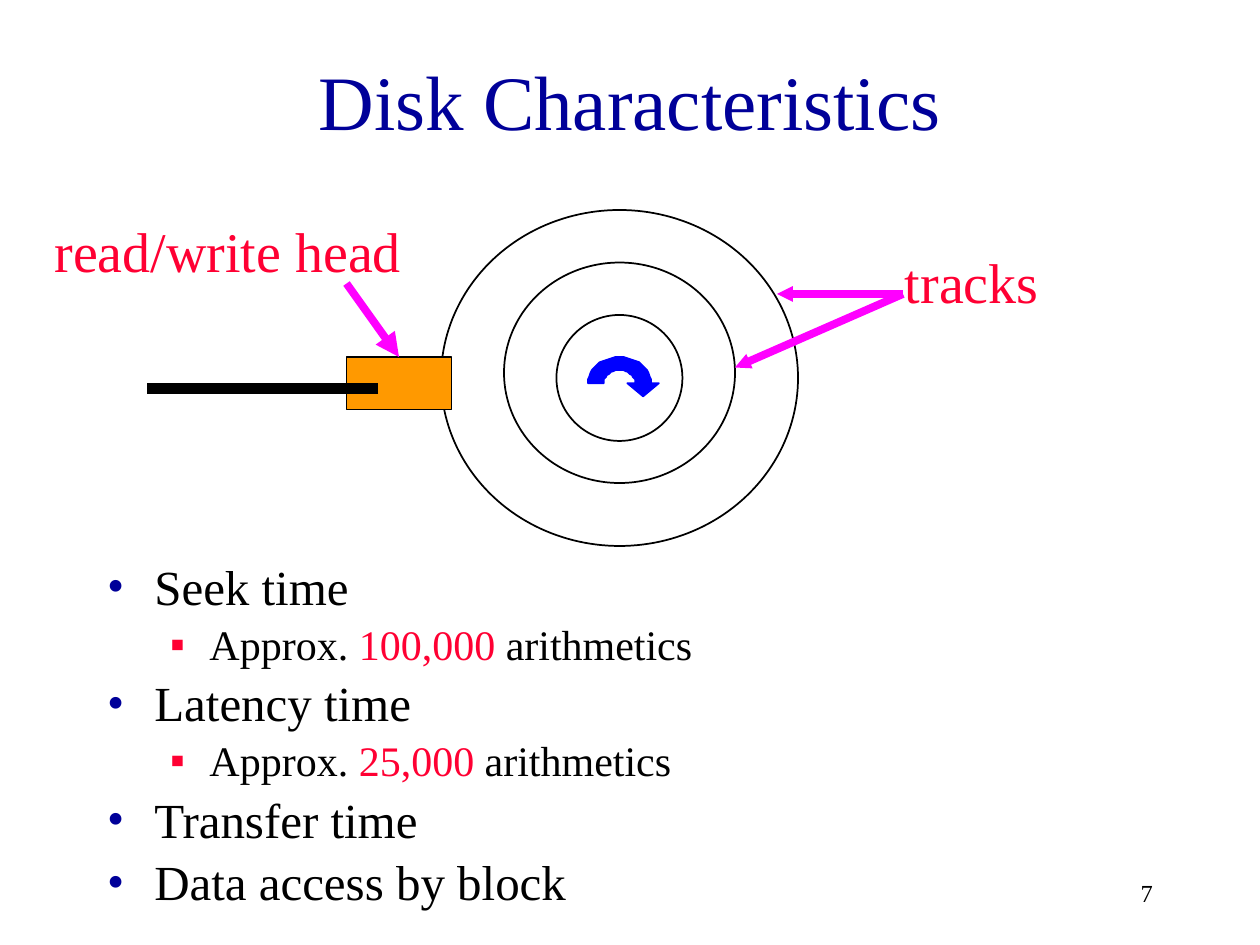
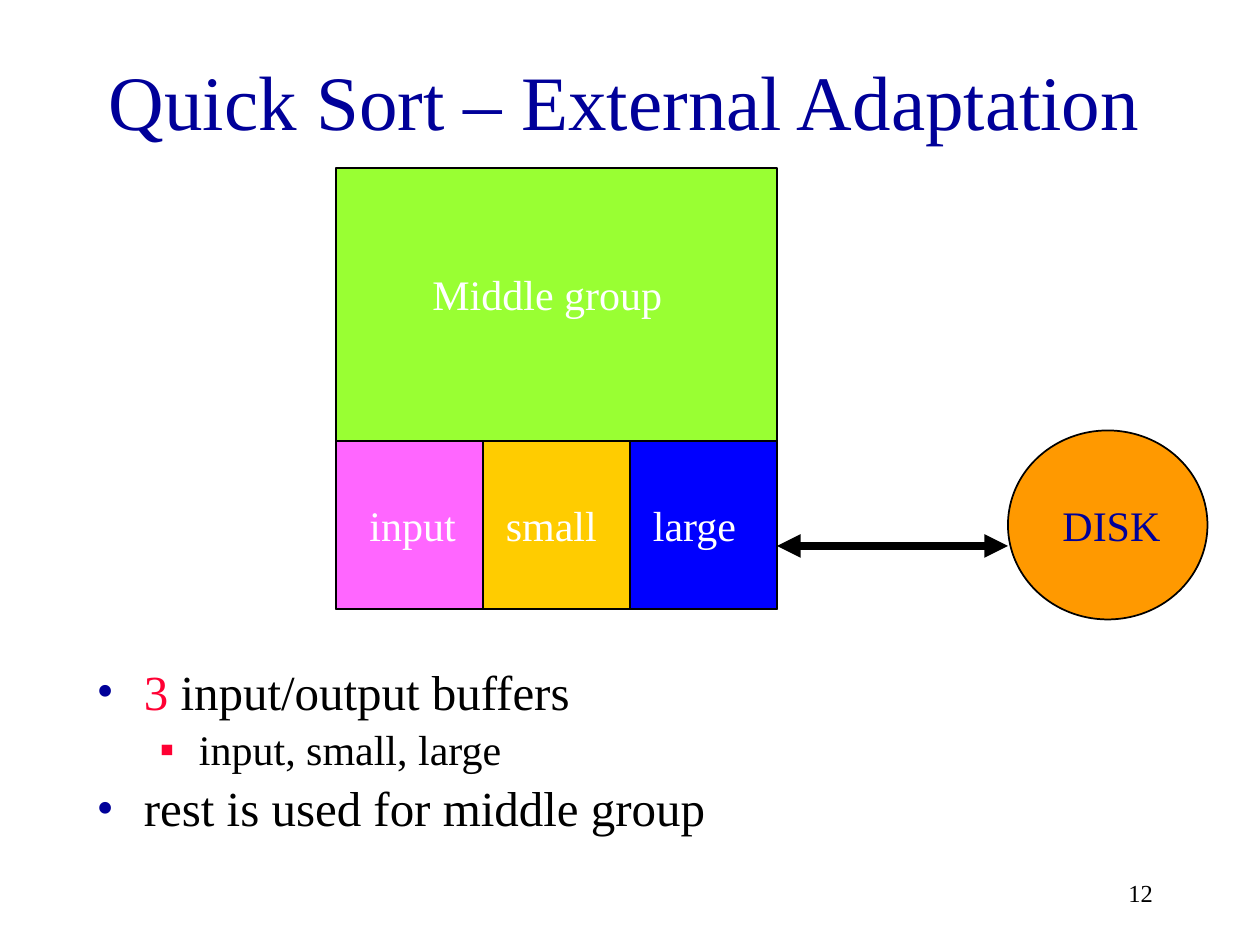
from math import cos, pi, sin

from lxml.etree import SubElement
from pptx import Presentation
from pptx.dml.color import RGBColor
from pptx.enum.shapes import MSO_CONNECTOR, MSO_SHAPE
from pptx.enum.text import MSO_ANCHOR, MSO_AUTO_SIZE, PP_ALIGN
from pptx.oxml.ns import qn
from pptx.util import Emu, Pt

PIXEL = 9525
FONT = "Times New Roman"
NAVY = "000099"
RED = "FF0033"
BLACK = "000000"
WHITE = "FFFFFF"
ORANGE = "FF9900"
MAGENTA = "FF00FF"
BLUE = "0000FF"
LEVELS = [
    {"size": 28, "margin": 36, "hang": 36, "mark": "•", "color": NAVY, "before": 5.6},
    {"size": 24, "margin": 78, "hang": 30, "mark": "▪", "color": RED, "before": 4.8},
]


def px(length):
    return Emu(length * PIXEL)


def rgb(color):
    return RGBColor.from_string(color)


def add_text(para, text, size=24, color=BLACK, align=None):
    span = para.add_run()
    span.text = text
    span.font.name = FONT
    span.font.size = Pt(size)
    span.font.color.rgb = rgb(color)
    if align is not None:
        para.alignment = align


def add_bullet(para, level):
    properties = para._p.get_or_add_pPr()
    properties.set("marL", str(px(level["margin"])))
    properties.set("indent", str(px(-level["hang"])))
    bullet_color = SubElement(properties, qn("a:buClr"))
    SubElement(bullet_color, qn("a:srgbClr"), val=level["color"])
    SubElement(properties, qn("a:buFont"), typeface=FONT)
    SubElement(properties, qn("a:buChar"), char=level["mark"])


class DeckBuilder:
    def __init__(self):
        self.deck = Presentation()
        self.deck.slide_width = px(960)
        self.deck.slide_height = px(720)
        self.page = None

    def place(self, box, left, top, width, height, anchor):
        box.left, box.top = px(left), px(top)
        box.width, box.height = px(width), px(height)
        frame = box.text_frame
        frame.word_wrap = True
        frame.auto_size = MSO_AUTO_SIZE.NONE
        frame.vertical_anchor = anchor
        return frame

    def start_page(self, title, number, left=72, width=816):
        self.page = self.deck.slides.add_slide(self.deck.slide_layouts[1])
        frame = self.place(self.page.shapes.title, left, 16, width, 120, MSO_ANCHOR.MIDDLE)
        add_text(frame.paragraphs[0], title, size=44, color=NAVY, align=PP_ALIGN.CENTER)
        self.label(number, 688, 656, 200, 48, anchor=MSO_ANCHOR.MIDDLE,
                   size=14, align=PP_ALIGN.RIGHT)

    def bullets(self, items, left, top, width, height):
        frame = self.place(self.page.placeholders[1], left, top, width, height, MSO_ANCHOR.TOP)
        for index, (depth, *spans) in enumerate(items):
            para = frame.add_paragraph() if index else frame.paragraphs[0]
            level = LEVELS[depth]
            para.level = depth
            add_bullet(para, level)
            para.line_spacing = 0.9
            para.space_before = Pt(level["before"] if index else 0)
            for text, color in spans:
                add_text(para, text, size=level["size"], color=color)

    def label(self, text, left, top, width, height=48, anchor=MSO_ANCHOR.TOP, **text_format):
        box = self.page.shapes.add_textbox(0, 0, 0, 0)
        frame = self.place(box, left, top, width, height, anchor)
        add_text(frame.paragraphs[0], text, **text_format)

    def paint(self, shape, fill, line=BLACK):
        shape.shadow.inherit = False
        if fill:
            shape.fill.solid()
            shape.fill.fore_color.rgb = rgb(fill)
        else:
            shape.fill.background()
        shape.line.color.rgb = rgb(line)
        shape.line.width = Pt(1)

    def shape(self, kind, left, top, width, height, fill=None):
        shape = self.page.shapes.add_shape(kind, px(left), px(top), px(width), px(height))
        self.paint(shape, fill)

    def outline(self, points, fill):
        builder = self.page.shapes.build_freeform(*points[0], scale=PIXEL)
        builder.add_line_segments(points[1:], close=True)
        self.paint(builder.convert_to_shape(), fill, line=fill)

    def line(self, start, end, color=BLACK, weight=4.5, ends=(), head_size="med"):
        connector = self.page.shapes.add_connector(
            MSO_CONNECTOR.STRAIGHT, *map(px, start), *map(px, end))
        connector.line.color.rgb = rgb(color)
        connector.line.width = Pt(weight)
        stroke = connector.line._get_or_add_ln()
        for name in ends:
            SubElement(stroke, qn("a:" + name), type="triangle", w=head_size, len=head_size)
        SubElement(connector._element.spPr, qn("a:effectLst"))


def rotation_arrow(center_x, center_y, steps=24):
    def arc(radius_x, radius_y):
        angles = [pi * step / steps for step in range(steps + 1)]
        return [(center_x + radius_x * cos(angle), center_y - radius_y * sin(angle))
                for angle in angles]

    head = [(center_x + 30, center_y), (center_x + 18, center_y + 10), (center_x + 6, center_y)]
    return arc(12, 10) + arc(24, 20)[::-1] + head


def build_disk_page(builder):
    builder.start_page("Disk Characteristics", "7")
    builder.bullets([
        (0, ("Seek time", BLACK)),
        (1, ("Approx. ", BLACK), ("100,000", RED), (" arithmetics", BLACK)),
        (0, ("Latency time", BLACK)),
        (1, ("Approx. ", BLACK), ("25,000", RED), (" arithmetics", BLACK)),
        (0, ("Transfer time", BLACK)),
        (0, ("Data access by block", BLACK)),
    ], 72, 424, 816, 280)
    for track in [(336, 160, 272, 256), (384, 200, 176, 168), (424, 240, 96, 96)]:
        builder.shape(MSO_SHAPE.OVAL, *track)
    builder.shape(MSO_SHAPE.RECTANGLE, 264, 272, 80, 40, fill=ORANGE)
    builder.line((288, 296), (112, 296), weight=6)
    builder.label("tracks", 680, 184, 240, 60, size=32, color=RED)
    builder.label("read/write head", 32, 160, 312, 60, size=32, color=RED)
    builder.line((264, 216), (304, 272), MAGENTA, ends=["tailEnd"])
    for track_edge in [(560, 280), (592, 224)]:
        builder.line((688, 224), track_edge, MAGENTA, ends=["tailEnd"], head_size="sm")
    builder.outline(rotation_arrow(472, 292), BLUE)


def build_sort_page(builder):
    builder.start_page("Quick Sort – External Adaptation", "12", left=48, width=856)
    builder.bullets([
        (0, ("3", RED), (" input/output buffers", BLACK)),
        (1, ("input, small, large", BLACK)),
        (0, ("rest is used for middle group", BLACK)),
    ], 64, 504, 816, 96)
    builder.shape(MSO_SHAPE.RECTANGLE, 256, 128, 336, 336, fill="99FF33")
    builder.shape(MSO_SHAPE.OVAL, 768, 328, 152, 144, fill=ORANGE)
    builder.label("DISK", 800, 376, 128, color=NAVY)
    builder.line((592, 416), (768, 416), ends=["headEnd", "tailEnd"])
    buffers = [("input", "FF66FF", 16), ("small", "FFCC00", 8), ("large", BLUE, 8)]
    for index, (name, fill, inset) in enumerate(buffers):
        left = 256 + 112 * index
        builder.shape(MSO_SHAPE.RECTANGLE, left, 336, 112, 128, fill=fill)
        builder.label(name, left + inset, 376, 96, color=WHITE)
    builder.label("Middle group", 320, 200, 216, color=WHITE)


def main():
    builder = DeckBuilder()
    build_disk_page(builder)
    build_sort_page(builder)
    builder.deck.save("out.pptx")


if __name__ == "__main__":
    main()
